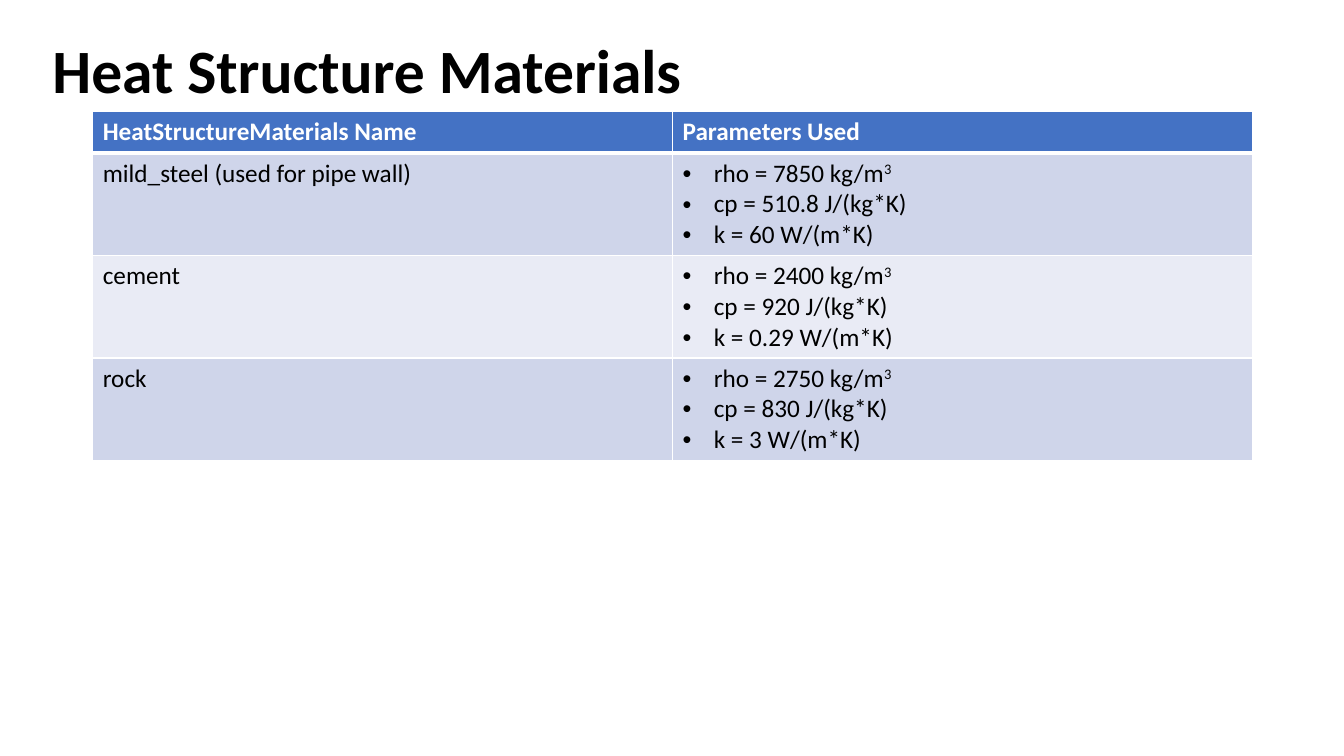
from lxml import etree
from pptx import Presentation
from pptx.dml.color import RGBColor
from pptx.enum.text import MSO_ANCHOR, PP_ALIGN
from pptx.oxml.ns import qn
from pptx.util import Inches, Pt

LEFT = PP_ALIGN.LEFT
MIDDLE = MSO_ANCHOR.MIDDLE
BLACK = RGBColor(0x00, 0x00, 0x00)
WHITE = RGBColor(0xFF, 0xFF, 0xFF)
BLUE = RGBColor(0x44, 0x72, 0xC4)
BAND_DARK = RGBColor(0xCF, 0xD5, 0xEA)
BAND_LIGHT = RGBColor(0xE9, 0xEB, 0xF5)
INDENT = Inches(0.31)

HEADINGS = ["HeatStructureMaterials Name", "Parameters Used"]
MATERIALS = [
    ("mild_steel (used for pipe wall)", "7850", "510.8", "60"),
    ("cement", "2400", "920", "0.29"),
    ("rock", "2750", "830", "3"),
]


def add_run(p, text, size=18, color=BLACK, bold=False):
    r = p.add_run()
    r.text = text
    r.font.name = "Calibri"
    r.font.size = Pt(size)
    r.font.bold = bold
    r.font.color.rgb = color
    return r


def style_cell(cell, fill, top=1, bottom=1):
    """Give the cell white borders (widths in points) and a solid fill."""
    tc_pr = cell._tc.get_or_add_tcPr()
    for side, width in (("L", 1), ("R", 1), ("T", top), ("B", bottom)):
        ln = etree.SubElement(tc_pr, qn(f"a:ln{side}"), w=str(Pt(width)))
        solid = etree.SubElement(ln, qn("a:solidFill"))
        etree.SubElement(solid, qn("a:srgbClr"), val=str(WHITE))
    cell.fill.solid()
    cell.fill.fore_color.rgb = fill


prs = Presentation()
prs.slide_width = Inches(13.33)
prs.slide_height = Inches(7.5)
s = prs.slides.add_slide(prs.slide_layouts[5])

# Title
title = s.shapes.title
title.left, title.top = Inches(0.42), Inches(0)
title.width, title.height = Inches(11.5), Inches(1.45)
tf = title.text_frame
tf.vertical_anchor = MIDDLE
p = tf.paragraphs[0]
p.alignment = LEFT
p.line_spacing = 0.9
add_run(p, "Heat Structure Materials", 44, bold=True)

# Materials table
table = s.shapes.add_table(len(MATERIALS) + 1, 2, Inches(0.92), Inches(1.11),
                           Inches(11.5), Inches(3.41)).table
table.rows[0].height = Inches(0.41)
for col, heading in enumerate(HEADINGS):
    cell = table.cell(0, col)
    style_cell(cell, BLUE, bottom=3)
    add_run(cell.text_frame.paragraphs[0], heading, color=WHITE, bold=True)

for row, (name, rho, cp, k) in enumerate(MATERIALS, start=1):
    table.rows[row].height = Inches(1)
    name_cell, values_cell = table.cell(row, 0), table.cell(row, 1)
    for cell in (name_cell, values_cell):
        style_cell(cell, BAND_DARK if row % 2 else BAND_LIGHT,
                   top=3 if row == 1 else 1)
    add_run(name_cell.text_frame.paragraphs[0], name)

    tf = values_cell.text_frame
    parameters = [(f"rho = {rho} kg/m", "3"), (f"cp = {cp} J/(kg*K)", ""),
                  (f"k = {k} W/(m*K)", "")]
    for i, (text, exponent) in enumerate(parameters):
        p = tf.add_paragraph() if i else tf.paragraphs[0]
        p_pr = p._p.get_or_add_pPr()
        p_pr.set("marL", str(INDENT))
        p_pr.set("indent", str(-INDENT))
        etree.SubElement(p_pr, qn("a:buFont"), typeface="Arial")
        etree.SubElement(p_pr, qn("a:buChar"), char="•")
        add_run(p, text)
        if exponent:
            r = add_run(p, exponent)
            r._r.get_or_add_rPr().set("baseline", "30000")

prs.save("out.pptx")
